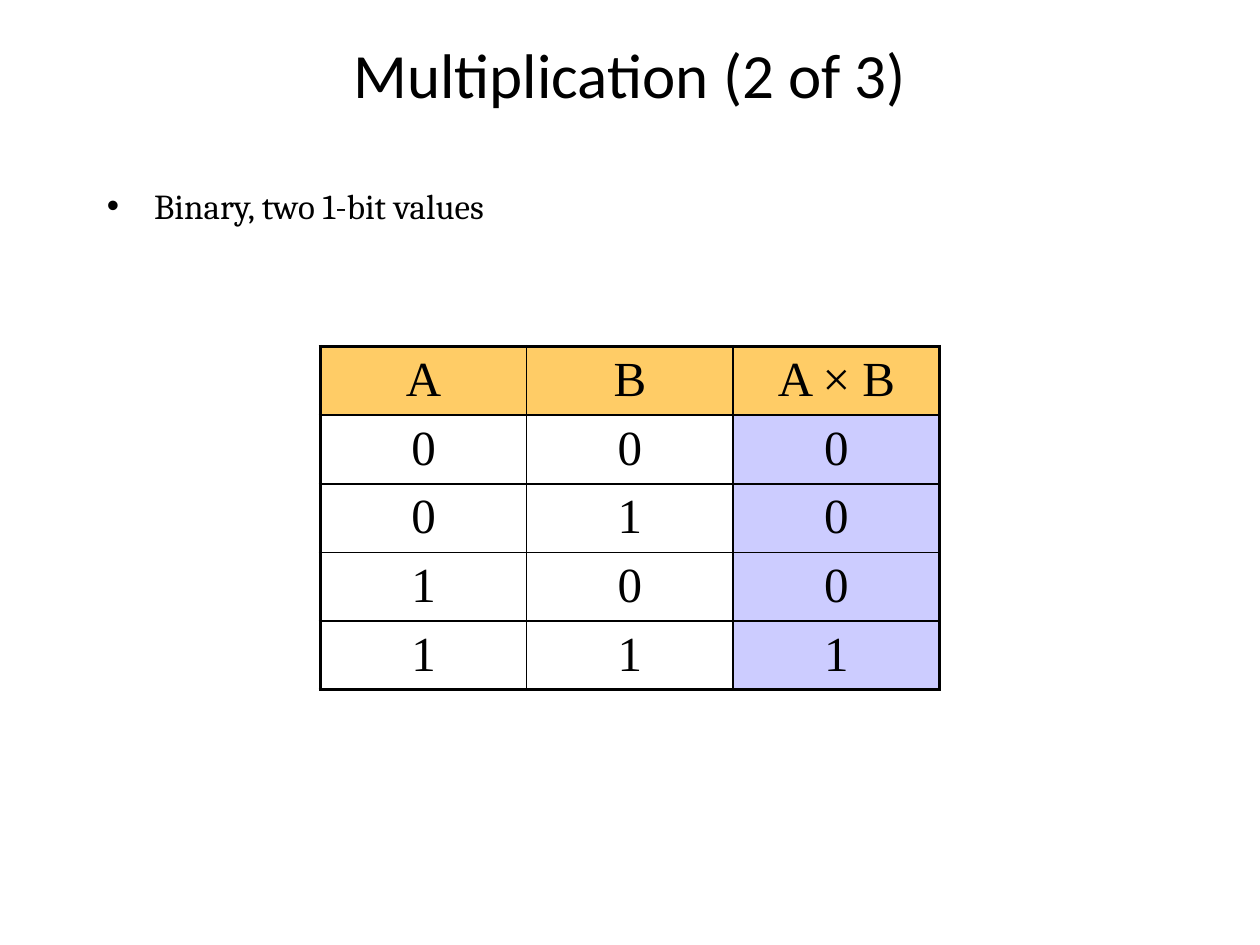
from lxml import etree
from pptx import Presentation
from pptx.dml.color import RGBColor
from pptx.enum.text import MSO_ANCHOR, PP_ALIGN
from pptx.oxml.ns import qn
from pptx.util import Pt

CENTER, LEFT = PP_ALIGN.CENTER, PP_ALIGN.LEFT
MIDDLE = MSO_ANCHOR.MIDDLE
COLORS = {"text": "000000", "border": "000000", "header": "FFCC66",
          "result": "CCCCFF"}
TRUTH_TABLE = [["A", "B", "A × B"]] + [
    [str(a), str(b), str(a * b)] for a in (0, 1) for b in (0, 1)]
OUTER, INNER = 2.25, 1


def write(tf, text, font, size, align=LEFT):
    """Write one formatted paragraph into a text frame."""
    p = tf.paragraphs[0]
    p.alignment = align
    r = p.add_run()
    r.text = text
    r.font.name, r.font.size = font, Pt(size)
    r.font.color.rgb = RGBColor.from_string(COLORS["text"])
    return p


def add_textbox(slide, box):
    """Add a wrapping text box and return its text frame."""
    tf = slide.shapes.add_textbox(*map(Pt, box)).text_frame
    tf.word_wrap = True
    return tf


def add_title(slide, box, text):
    """Place the centred slide title."""
    tf = add_textbox(slide, box)
    tf.vertical_anchor = MIDDLE
    write(tf, text, "Calibri", 36, align=CENTER)


def add_bullet(slide, box, text):
    """Place the bulleted body text with a hanging indent."""
    p = write(add_textbox(slide, box), text, "Cambria", 20)
    pPr = p._p.get_or_add_pPr()
    pPr.set("marL", str(Pt(27)))
    pPr.set("indent", str(Pt(-27)))
    etree.SubElement(pPr, qn("a:buFont")).set("typeface", "Arial")
    etree.SubElement(pPr, qn("a:buChar")).set("char", "•")


def set_borders(cell, widths):
    """Draw left, right, top and bottom cell borders of given widths."""
    tcPr = cell._tc.get_or_add_tcPr()
    for i, (side, width) in enumerate(zip("LRTB", widths)):
        ln = etree.Element(qn(f"a:ln{side}"), w=str(Pt(width)))
        fill = etree.SubElement(ln, qn("a:solidFill"))
        etree.SubElement(fill, qn("a:srgbClr")).set("val", COLORS["border"])
        tcPr.insert(i, ln)


def add_truth_table(slide, box, rows):
    """Place the truth table with a heavy frame and shaded results."""
    n_rows, n_cols = len(rows), len(rows[0])
    last_row, last_col = n_rows - 1, n_cols - 1
    table = slide.shapes.add_table(n_rows, n_cols, *map(Pt, box)).table
    for i, row in enumerate(rows):
        for j, text in enumerate(row):
            cell = table.cell(i, j)
            cell.margin_top, cell.margin_bottom = Pt(3.6), Pt(2)
            write(cell.text_frame, text, "Times New Roman", 28, align=CENTER)
            if i == 0 or j == last_col:
                cell.fill.solid()
                key = "header" if i == 0 else "result"
                cell.fill.fore_color.rgb = RGBColor.from_string(COLORS[key])
            else:
                cell.fill.background()
            edges = (j == 0, j == last_col, i == 0, i == last_row)
            set_borders(cell, [OUTER if edge else INNER for edge in edges])


def main():
    """Build the slide and save it."""
    prs = Presentation()
    prs.slide_width, prs.slide_height = Pt(720), Pt(540)
    slide = prs.slides.add_slide(prs.slide_layouts[6])
    add_title(slide, (54, 12, 612, 60), "Multiplication (2 of 3)")
    add_bullet(slide, (54, 102, 612, 324), "Binary, two 1-bit values")
    add_truth_table(slide, (183, 198, 354, 191), TRUTH_TABLE)
    prs.save("out.pptx")


if __name__ == "__main__":
    main()
